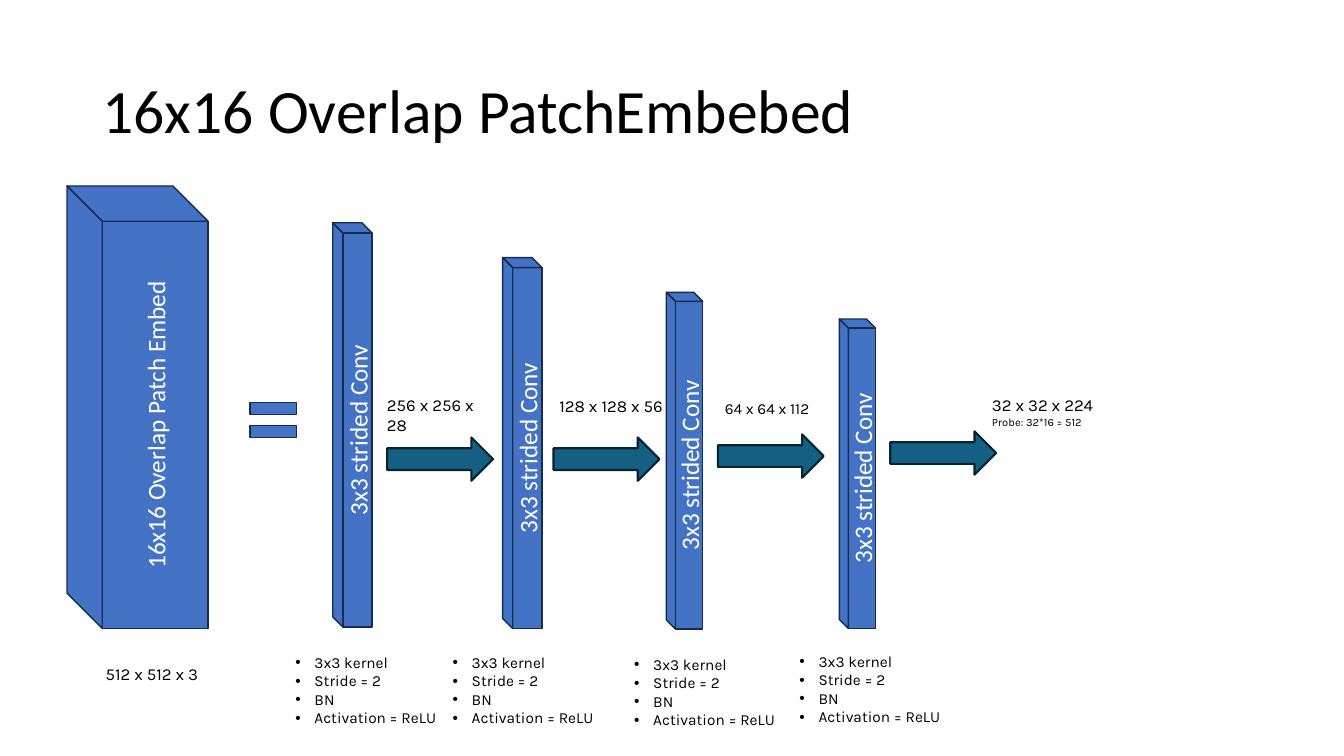
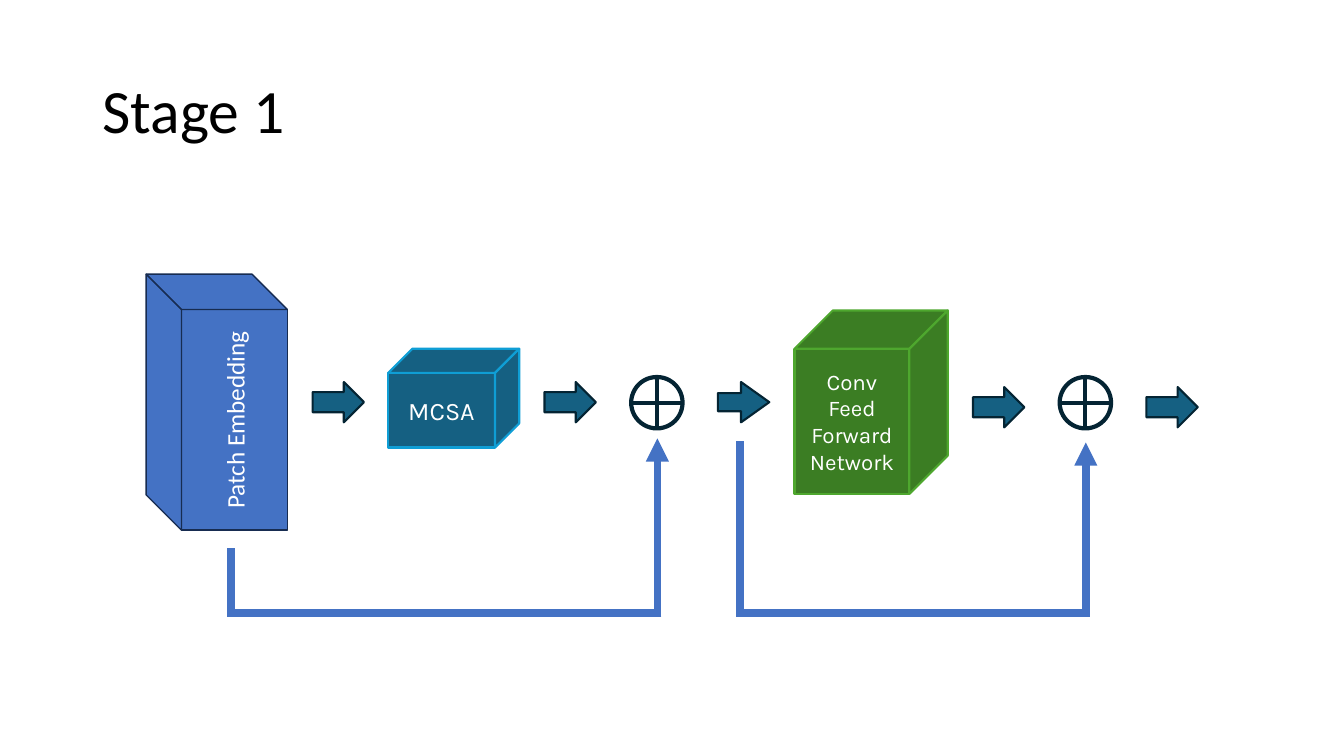
from dataclasses import dataclass
from typing import Optional, Sequence

from pptx import Presentation
from pptx.dml.color import RGBColor
from pptx.enum.shapes import MSO_CONNECTOR, MSO_SHAPE
from pptx.enum.text import MSO_ANCHOR as Anchor, MSO_AUTO_SIZE as AutoSize, PP_ALIGN as Align
from pptx.oxml.ns import qn
from pptx.util import Inches, Pt
from lxml.etree import SubElement

COLORS = {
    "text": "000000", "light": "FFFFFF",
    "blue": "4472C4", "blue_edge": "172C51",
    "teal": "156082", "teal_edge": "042433", "cyan_edge": "0F9ED5",
    "green": "3B7D23", "green_edge": "4EA72E",
}
HEADING, BODY = "Calibri", "Karla"
CONV_DETAILS = ["3x3 kernel", "Stride = 2", "BN", "Activation = ReLU"]


@dataclass
class Block:
    """A box in perspective; upright ones are turned a quarter to the left."""
    text: str
    left: float
    top: float
    width: float
    height: float
    depth: float
    upright: bool = True
    fill: str = "blue"
    edge: str = "blue_edge"
    edge_width: float = 1
    font: str = HEADING
    size: float = 18


@dataclass
class Arrow:
    left: float
    top: float
    width: float = 0.51
    height: float = 0.4
    shaft: float = 0.5
    head: float = 0.5


@dataclass
class Label:
    lines: Sequence[str]
    left: float
    top: float
    width: float
    height: float
    size: float = 12
    later_size: Optional[float] = None
    wrap: bool = False
    bullet: bool = False


@dataclass
class Skip:
    """A connection that leaves downwards and comes back up with an arrowhead."""
    start_x: float
    start_y: float
    end_x: float
    tip_y: float


def rgb(name: str) -> RGBColor:
    return RGBColor.from_string(COLORS[name])


def add_bullet(paragraph) -> None:
    props = paragraph._p.get_or_add_pPr()
    props.set("marL", str(Inches(0.19)))
    props.set("indent", str(-Inches(0.19)))
    color = SubElement(props, qn("a:buClr"))
    SubElement(color, qn("a:srgbClr"), val=COLORS["text"])
    SubElement(props, qn("a:buFont"), typeface="Arial")
    SubElement(props, qn("a:buChar"), char="•")


def write(frame, lines: Sequence[str], *, font: str = BODY, size: float = 12,
          later_size: Optional[float] = None, color: str = "text", align=Align.LEFT,
          anchor=Anchor.TOP, wrap: bool = True, bullet: bool = False,
          spacing: float = 1.0) -> None:
    frame.word_wrap = wrap
    frame.vertical_anchor = anchor
    for index, line in enumerate(lines):
        paragraph = frame.add_paragraph() if index else frame.paragraphs[0]
        if bullet:
            add_bullet(paragraph)
        paragraph.alignment = align
        paragraph.line_spacing = spacing
        run = paragraph.add_run()
        run.text = line
        run.font.name = font
        run.font.size = Pt(later_size if index and later_size else size)
        run.font.color.rgb = rgb(color)


def paint(shape, fill: Optional[str], edge: str, edge_width: float) -> None:
    shape.shadow.inherit = False
    if fill:
        shape.fill.solid()
        shape.fill.fore_color.rgb = rgb(fill)
    else:
        shape.fill.background()
    shape.line.color.rgb = rgb(edge)
    shape.line.width = Pt(edge_width)


def add_titled_slide(deck, title: str):
    slide = deck.slides.add_slide(deck.slide_layouts[6])
    box = slide.shapes.add_textbox(Inches(0.92), Inches(0.4), Inches(11.5), Inches(1.45))
    write(box.text_frame, [title], font=HEADING, size=44, anchor=Anchor.MIDDLE, spacing=0.9)
    return slide


def draw_block(slide, block: Block) -> None:
    left, right = block.left, block.left + block.width
    top, bottom = block.top, block.top + block.height
    front_right, front_top = right - block.depth, top + block.depth
    faces = [
        [(left, front_top), (front_right, front_top), (front_right, bottom), (left, bottom)],
        [(front_right, front_top), (right, top), (right, bottom - block.depth),
         (front_right, bottom)],
        [(left, front_top), (left + block.depth, top), (right, top), (front_right, front_top)],
    ]
    faces = [[(Inches(x), Inches(y)) for x, y in face] for face in faces]
    outline = slide.shapes.build_freeform(*faces[0][0])
    outline.add_line_segments(faces[0][1:])
    for face in faces[1:]:
        outline.move_to(*face[0])
        outline.add_line_segments(face[1:])
    shape = outline.convert_to_shape()
    paint(shape, block.fill, block.edge, block.edge_width)
    shape.rotation = 270 if block.upright else 0
    # Keep the text on the front face
    frame = shape.text_frame
    frame.margin_right = Inches(0.1 + block.depth)
    frame.margin_top = Inches(0.05 + block.depth)
    write(frame, [block.text], font=block.font, size=block.size, color="light",
          align=Align.CENTER, anchor=Anchor.MIDDLE)


def draw_preset(slide, preset, left: float, top: float, width: float, height: float,
                fill: Optional[str], edge: str, edge_width: float):
    shape = slide.shapes.add_shape(preset, Inches(left), Inches(top),
                                   Inches(width), Inches(height))
    paint(shape, fill, edge, edge_width)
    return shape


def draw_arrow(slide, arrow: Arrow) -> None:
    shape = draw_preset(slide, MSO_SHAPE.RIGHT_ARROW, arrow.left, arrow.top,
                        arrow.width, arrow.height, "teal", "teal_edge", 1.5)
    shape.adjustments[0] = arrow.shaft
    shape.adjustments[1] = arrow.head


def draw_label(slide, label: Label) -> None:
    box = slide.shapes.add_textbox(Inches(label.left), Inches(label.top),
                                   Inches(label.width), Inches(label.height))
    write(box.text_frame, label.lines, size=label.size, later_size=label.later_size,
          wrap=label.wrap, bullet=label.bullet)
    box.text_frame.auto_size = AutoSize.SHAPE_TO_FIT_TEXT


def draw_line(slide, x1: float, y1: float, x2: float, y2: float, arrowhead: bool = False) -> None:
    line = slide.shapes.add_connector(MSO_CONNECTOR.STRAIGHT, Inches(x1), Inches(y1),
                                      Inches(x2), Inches(y2))
    line.line.color.rgb = rgb("blue")
    line.line.width = Pt(5.5)
    if arrowhead:
        SubElement(line.line._get_or_add_ln(), qn("a:tailEnd"), type="triangle")
    SubElement(line._element.spPr, qn("a:effectLst"))


def draw_skip(slide, skip: Skip, level: float = 6.08, half: float = 0.04) -> None:
    draw_line(slide, skip.start_x, skip.start_y, skip.start_x, level + half)
    draw_line(slide, skip.end_x + half, level, skip.start_x - half, level)
    draw_line(slide, skip.end_x, level, skip.end_x, skip.tip_y, arrowhead=True)


def build_patch_embed(deck) -> None:
    slide = add_titled_slide(deck, "16x16 Overlap PatchEmbebed")

    # Whole embedding, then the equals sign
    draw_block(slide, Block("16x16 Overlap Patch Embed", -0.83, 3.34, 4.39, 1.4, 0.35))
    for bar_top in (3.99, 4.22):
        draw_preset(slide, MSO_SHAPE.RECTANGLE, 2.48, bar_top, 0.46, 0.12,
                    "blue", "blue_edge", 1)

    # Convolutions, each with its output arrow and details
    convs = [
        Block("3x3 strided Conv", 1.49, 4.02, 4.01, 0.39, 0.1),
        Block("3x3 strided Conv", 3.34, 4.2, 3.68, 0.39, 0.1),
        Block("3x3 strided Conv", 5.12, 4.39, 3.34, 0.36, 0.09),
        Block("3x3 strided Conv", 6.97, 4.52, 3.07, 0.36, 0.09),
    ]
    outputs = [(3.84, 4.34), (5.49, 4.34), (7.12, 4.31), (8.83, 4.28)]
    details = [(2.83, 6.43), (4.39, 6.43), (6.19, 6.45), (7.83, 6.42)]
    for conv, output, detail in zip(convs, outputs, details):
        draw_block(slide, conv)
        draw_arrow(slide, Arrow(*output, width=1.05, height=0.43))
        draw_label(slide, Label(CONV_DETAILS, *detail, 2.02, 0.84, size=11, bullet=True))

    # Tensor sizes
    for tensor in (
        Label(["512 x 512 x 3"], 0.95, 6.54, 1.22, 0.3),
        Label(["256 x 256 x 28"], 3.74, 3.87, 1.24, 0.5, wrap=True),
        Label(["128 x 128 x 56"], 5.45, 3.88, 1.31, 0.3),
        Label(["64 x 64 x 112"], 7.09, 3.91, 1.14, 0.29, size=11),
        Label(["32 x 32 x 224", "Probe: 32*16 = 512"], 9.74, 3.87, 1.22, 0.44, later_size=8),
    ):
        draw_label(slide, tensor)


def build_stage(deck) -> None:
    slide = add_titled_slide(deck, "Stage 1")

    # Processing blocks
    for block in (
        Block("Patch Embedding", 0.88, 3.29, 2.54, 1.4, 0.35),
        Block("MCSA", 3.85, 3.46, 1.3, 0.98, 0.24, upright=False, fill="teal",
              edge="cyan_edge", edge_width=1.5, font=BODY),
        Block("Conv Feed Forward Network", 7.88, 3.08, 1.52, 1.82, 0.38, upright=False,
              fill="green", edge="green_edge", edge_width=1.5, font=BODY, size=16),
    ):
        draw_block(slide, block)

    # Flow between the blocks
    for arrow in (
        Arrow(3.1, 3.79), Arrow(5.4, 3.79), Arrow(7.12, 3.79, shaft=0.45, head=0.7),
        Arrow(9.65, 3.84), Arrow(11.37, 3.84),
    ):
        draw_arrow(slide, arrow)

    # Sums and the skip connections that feed them
    for sum_left in (6.26, 10.51):
        draw_preset(slide, MSO_SHAPE.FLOWCHART_OR, sum_left, 3.74, 0.51, 0.51,
                    None, "teal_edge", 3)
    for skip in (Skip(2.29, 5.44, 6.52, 4.35), Skip(7.34, 4.38, 10.77, 4.39)):
        draw_skip(slide, skip)


def main() -> None:
    deck = Presentation()
    deck.slide_width, deck.slide_height = Inches(13.33), Inches(7.5)
    build_patch_embed(deck)
    build_stage(deck)
    deck.save("out.pptx")


if __name__ == "__main__":
    main()
